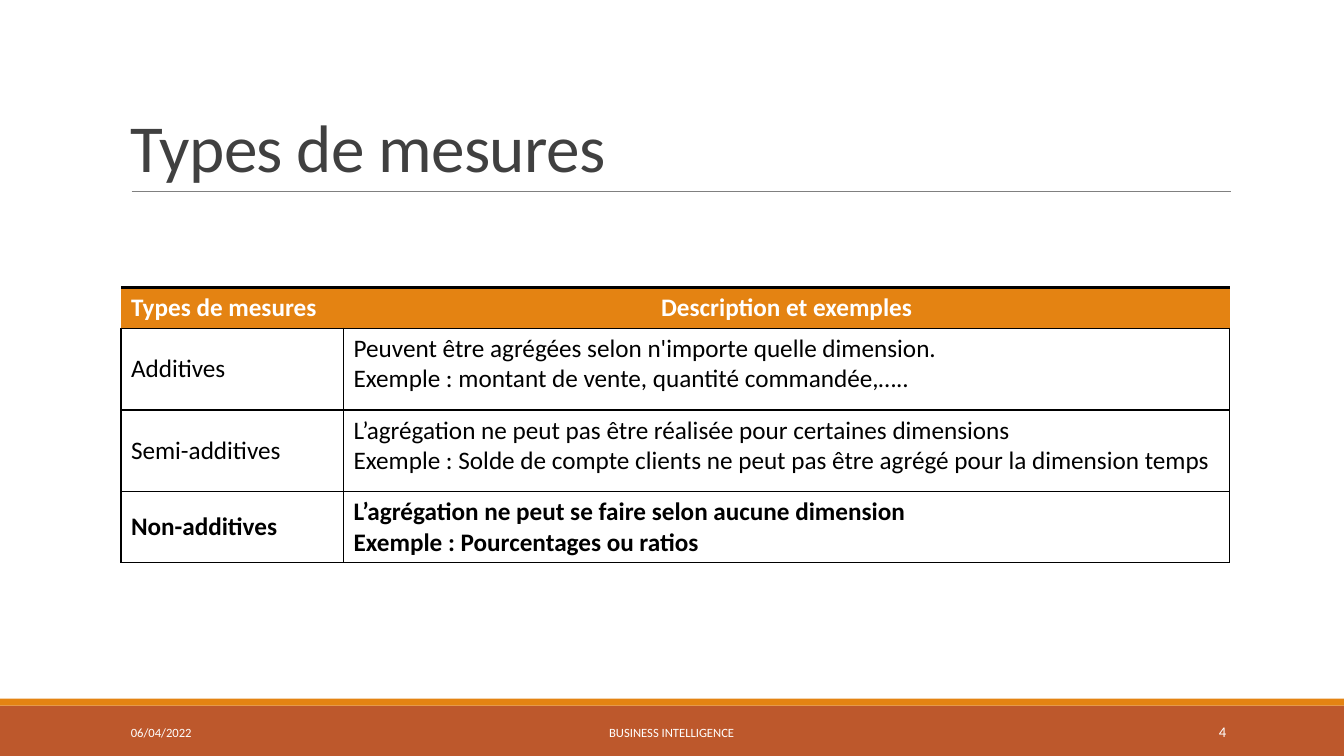
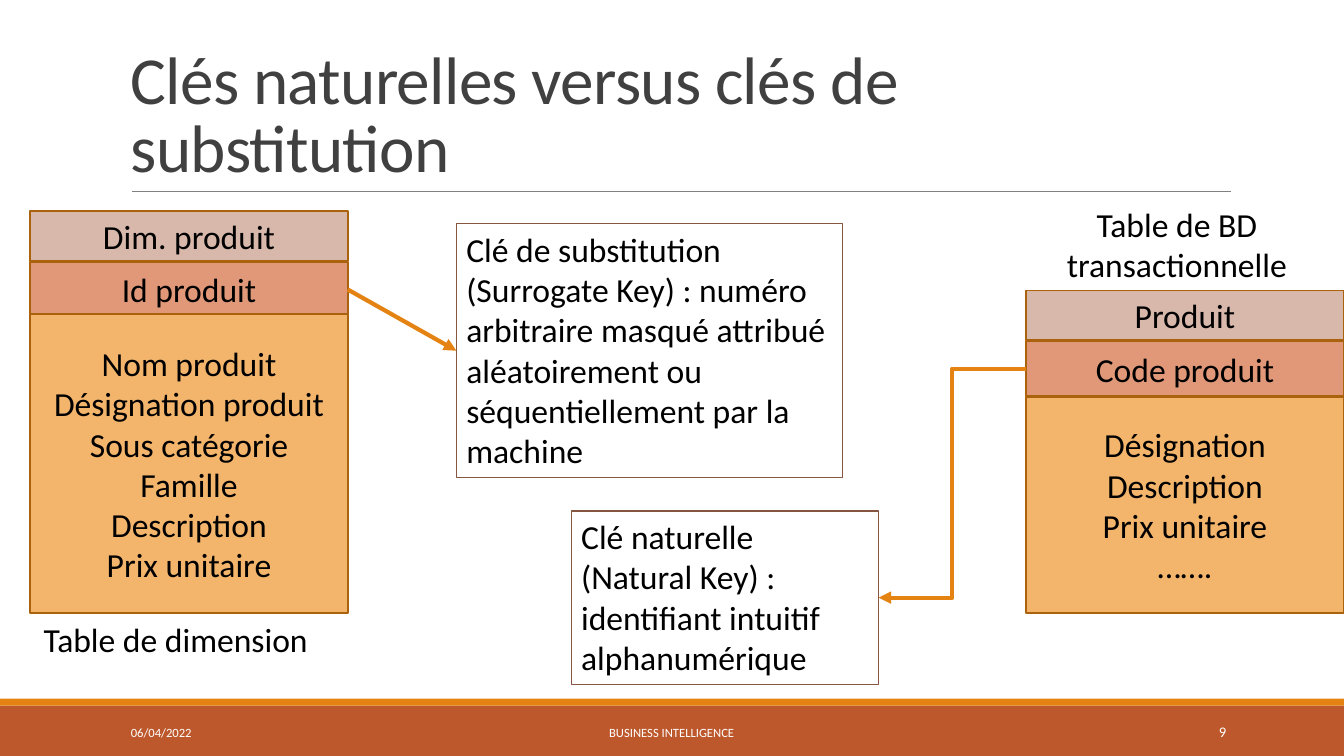
from pptx import Presentation
from pptx.dml.color import RGBColor
from pptx.enum.shapes import MSO_CONNECTOR, MSO_SHAPE
from pptx.enum.text import MSO_ANCHOR, PP_ALIGN
from pptx.oxml.ns import qn
from pptx.util import Pt
from lxml import etree

RECTANGLE = MSO_SHAPE.RECTANGLE
STRAIGHT, ELBOW = MSO_CONNECTOR.STRAIGHT, MSO_CONNECTOR.ELBOW
TOP, MIDDLE, BOTTOM = MSO_ANCHOR.TOP, MSO_ANCHOR.MIDDLE, MSO_ANCHOR.BOTTOM
LEFT, CENTER, RIGHT = PP_ALIGN.LEFT, PP_ALIGN.CENTER, PP_ALIGN.RIGHT
LEFT_SITE, RIGHT_SITE = 1, 3

FONT = "Calibri"
WHITE = RGBColor(0xFF, 0xFF, 0xFF)
BLACK = RGBColor(0x00, 0x00, 0x00)
TITLE_GRAY = RGBColor(0x40, 0x40, 0x40)
RULE_GRAY = RGBColor(0x80, 0x80, 0x80)
ORANGE = RGBColor(0xE4, 0x83, 0x12)
RUST = RGBColor(0xBD, 0x58, 0x2C)
ENTITY_LINE = RGBColor(0xAB, 0x62, 0x0D)
HEADER_FILL = RGBColor(0xD7, 0xB8, 0xAB)
KEY_FILL = RGBColor(0xE0, 0x98, 0x78)
BODY_FILL = RGBColor(0xF3, 0xB5, 0x6C)
NOTE_LINE = RGBColor(0x86, 0x56, 0x40)

SLIDE_WIDTH, SLIDE_HEIGHT = 960, 540
MARGIN, CONTENT_WIDTH = 86.4, 792
BAND_TOP, STRIPE_HEIGHT = 504, 5
ENTITY_WIDTH, HEADER_HEIGHT, KEY_OFFSET, KEY_HEIGHT = 226.8, 35.5, 36, 39.6
ENTITY_BOTTOM = 438

DATE = "06/04/2022"
FOOTER = "BUSINESS INTELLIGENCE"
MEASURES = [
    ("Types de mesures", ["Description et exemples"]),
    ("Additives", ["Peuvent être agrégées selon n'importe quelle dimension.",
                   "Exemple : montant de vente, quantité commandée,….."]),
    ("Semi-additives", ["L’agrégation ne peut pas être réalisée pour certaines dimensions",
                        "Exemple : Solde de compte clients ne peut pas être agrégé "
                        "pour la dimension temps"]),
    ("Non-additives", ["L’agrégation ne peut se faire selon aucune dimension",
                       "Exemple : Pourcentages ou ratios"]),
]
COLUMN_WIDTHS = [159, 633]
ROW_HEIGHTS = [29.2, 58.5, 58.5, 50.4]


def write_lines(frame, lines, size, color=BLACK, alignment=LEFT, bold=False):
    frame.word_wrap = True
    for index, line in enumerate(lines):
        paragraph = frame.add_paragraph() if index else frame.paragraphs[0]
        paragraph.text = line
        paragraph.alignment = alignment
        font = paragraph.font
        font.name, font.size, font.bold = FONT, Pt(size), bold
        font.color.rgb = color


def add_text(slide, box, lines, size=24, color=BLACK, alignment=LEFT, anchor=TOP):
    shape = slide.shapes.add_textbox(*map(Pt, box))
    write_lines(shape.text_frame, lines, size, color, alignment)
    shape.text_frame.vertical_anchor = anchor
    return shape


def add_rectangle(slide, box, fill=None, line=None, line_width=1.25):
    shape = slide.shapes.add_shape(RECTANGLE, *map(Pt, box))
    shape.shadow.inherit = False
    if fill is None:
        shape.fill.background()
    else:
        shape.fill.solid()
        shape.fill.fore_color.rgb = fill
    if line is None:
        shape.line.fill.background()
    else:
        shape.line.color.rgb = line
        shape.line.width = Pt(line_width)
    return shape


def add_line(slide, kind, start, end, color, width):
    connector = slide.shapes.add_connector(kind, *map(Pt, start + end))
    connector.line.color.rgb = color
    connector.line.width = Pt(width)
    etree.SubElement(connector._element.spPr, qn("a:effectLst"))
    return connector


def add_arrow(slide, kind, source, source_site, target, target_site):
    """Join two shapes, with the arrowhead at the target."""
    arrow = add_line(slide, kind, (0, 0), (0, 0), ORANGE, 3)
    arrow.begin_connect(source, source_site)
    arrow.end_connect(target, target_site)
    etree.SubElement(arrow.line._get_or_add_ln(), qn("a:tailEnd"), type="triangle")


def add_base_slide(presentation, title, number):
    """Add a slide with the shared title, rule, bands and footer."""
    slide = presentation.slides.add_slide(presentation.slide_layouts[6])
    add_rectangle(slide, (0, BAND_TOP, SLIDE_WIDTH, SLIDE_HEIGHT - BAND_TOP), RUST)
    add_rectangle(slide, (0, BAND_TOP - STRIPE_HEIGHT, SLIDE_WIDTH, STRIPE_HEIGHT), ORANGE)
    add_line(slide, STRAIGHT, (94, 136.8), (879, 136.8), RULE_GRAY, 0.5)
    title_box = add_text(slide, (MARGIN, 22.5, CONTENT_WIDTH, 114.3), [title],
                         48, TITLE_GRAY, anchor=BOTTOM)
    paragraph = title_box.text_frame.paragraphs[0]
    paragraph.line_spacing = 0.85
    paragraph.runs[0].font._element.set("spc", "-50")
    for left, width, text, size, alignment in (
            (MARGIN, 194.4, DATE, 9, LEFT),
            (290, 379.5, FOOTER, 9, CENTER),
            (780, 103, str(number), 10.5, RIGHT)):
        add_text(slide, (left, 508.5, width, 28.8), [text], size, WHITE, alignment, MIDDLE)
    return slide


def set_borders(cell, widths):
    """Set left, right, top and bottom borders; a width of 0 hides one."""
    properties = cell._tc.get_or_add_tcPr()
    for index, (side, width) in enumerate(zip("LRTB", widths)):
        border = etree.Element(qn(f"a:ln{side}"), w=str(Pt(width)))
        if width:
            fill = etree.SubElement(border, qn("a:solidFill"))
            etree.SubElement(fill, qn("a:srgbClr"), val=str(BLACK))
        else:
            etree.SubElement(border, qn("a:noFill"))
        properties.insert(index, border)


def fill_cell(cell, lines, is_header, is_last, is_description):
    write_lines(cell.text_frame, lines, 18, WHITE if is_header else BLACK,
                CENTER if is_header and is_description else LEFT, is_header or is_last)
    cell.vertical_anchor = TOP if is_description and not is_header else MIDDLE
    if is_header:
        cell.fill.solid()
        cell.fill.fore_color.rgb = ORANGE
    else:
        cell.fill.background()
    set_borders(cell, (0, 0, 2, 1) if is_header else (1, 1, 1, 1))


def add_measure_table(slide):
    table = slide.shapes.add_table(
        len(MEASURES), len(COLUMN_WIDTHS), Pt(MARGIN), Pt(205.2),
        Pt(sum(COLUMN_WIDTHS)), Pt(sum(ROW_HEIGHTS))).table
    table.horz_banding = False
    for column, width in zip(table.columns, COLUMN_WIDTHS):
        column.width = Pt(width)
    for row_index, (kind, description) in enumerate(MEASURES):
        table.rows[row_index].height = Pt(ROW_HEIGHTS[row_index])
        is_header, is_last = row_index == 0, row_index == len(MEASURES) - 1
        for column_index, lines in enumerate(([kind], description)):
            fill_cell(table.cell(row_index, column_index), lines,
                      is_header, is_last, column_index == 1)


def add_entity(slide, left, top, body_top, name, key, attributes):
    """Stack the name, key and attributes of a table; return the key shape."""
    shapes = []
    for part_top, height, fill, lines in (
            (top, HEADER_HEIGHT, HEADER_FILL, [name]),
            (top + KEY_OFFSET, KEY_HEIGHT, KEY_FILL, [key]),
            (body_top, ENTITY_BOTTOM - body_top, BODY_FILL, attributes)):
        shape = add_rectangle(slide, (left, part_top, ENTITY_WIDTH, height),
                              fill, ENTITY_LINE)
        write_lines(shape.text_frame, lines, 24, alignment=CENTER)
        shapes.append(shape)
    return shapes[1]


def add_note(slide, box, lines):
    note = add_rectangle(slide, box, line=NOTE_LINE, line_width=0.75)
    write_lines(note.text_frame, lines, 24)
    note.text_frame.vertical_anchor = TOP
    return note


def add_key_diagram(slide):
    surrogate_key = add_entity(
        slide, 21.6, 151, 224.5, "Dim. produit", "Id produit",
        ["Nom produit", "Désignation produit", "Sous catégorie", "Famille",
         "Description", "Prix unitaire"])
    natural_key = add_entity(
        slide, 733, 207.5, 283.5, "Produit", "Code produit",
        ["Désignation Description", "Prix unitaire", "……."])
    surrogate_note = add_note(
        slide, (326, 159.8, 276, 181.4),
        ["Clé de substitution",
         "(Surrogate Key) : numéro arbitraire masqué attribué aléatoirement ou "
         "séquentiellement par la machine"])
    natural_note = add_note(
        slide, (408, 365, 219.6, 123.8),
        ["Clé naturelle", "(Natural Key) : identifiant intuitif alphanumérique"])
    add_text(slide, (24, 438.5, 219.6, 36), ["Table de dimension"])
    add_text(slide, (730.8, 142, 219.6, 65.5), ["Table de BD transactionnelle"],
             alignment=CENTER)
    add_arrow(slide, STRAIGHT, surrogate_key, RIGHT_SITE, surrogate_note, LEFT_SITE)
    add_arrow(slide, ELBOW, natural_key, LEFT_SITE, natural_note, RIGHT_SITE)


def main():
    presentation = Presentation()
    presentation.slide_width = Pt(SLIDE_WIDTH)
    presentation.slide_height = Pt(SLIDE_HEIGHT)
    add_measure_table(add_base_slide(presentation, "Types de mesures", 4))
    add_key_diagram(add_base_slide(
        presentation, "Clés naturelles versus clés de substitution", 9))
    presentation.save("out.pptx")


if __name__ == "__main__":
    main()
